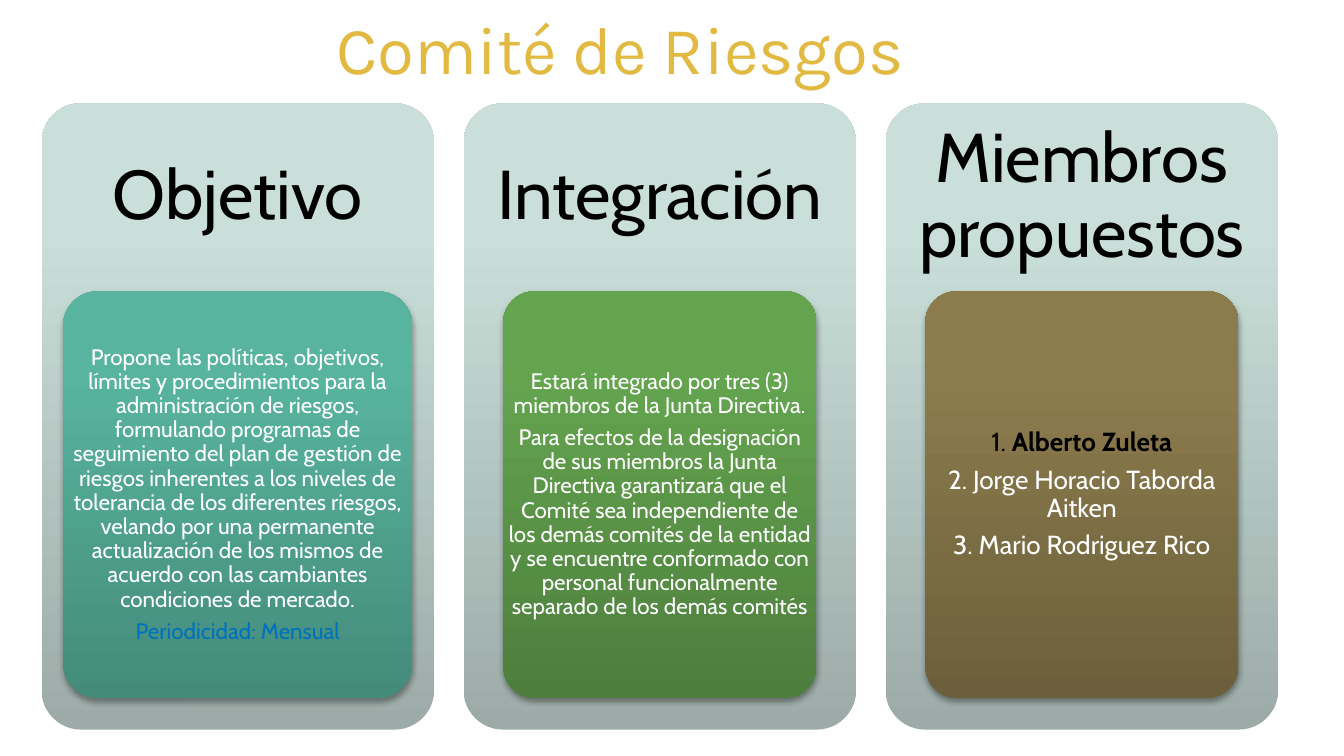
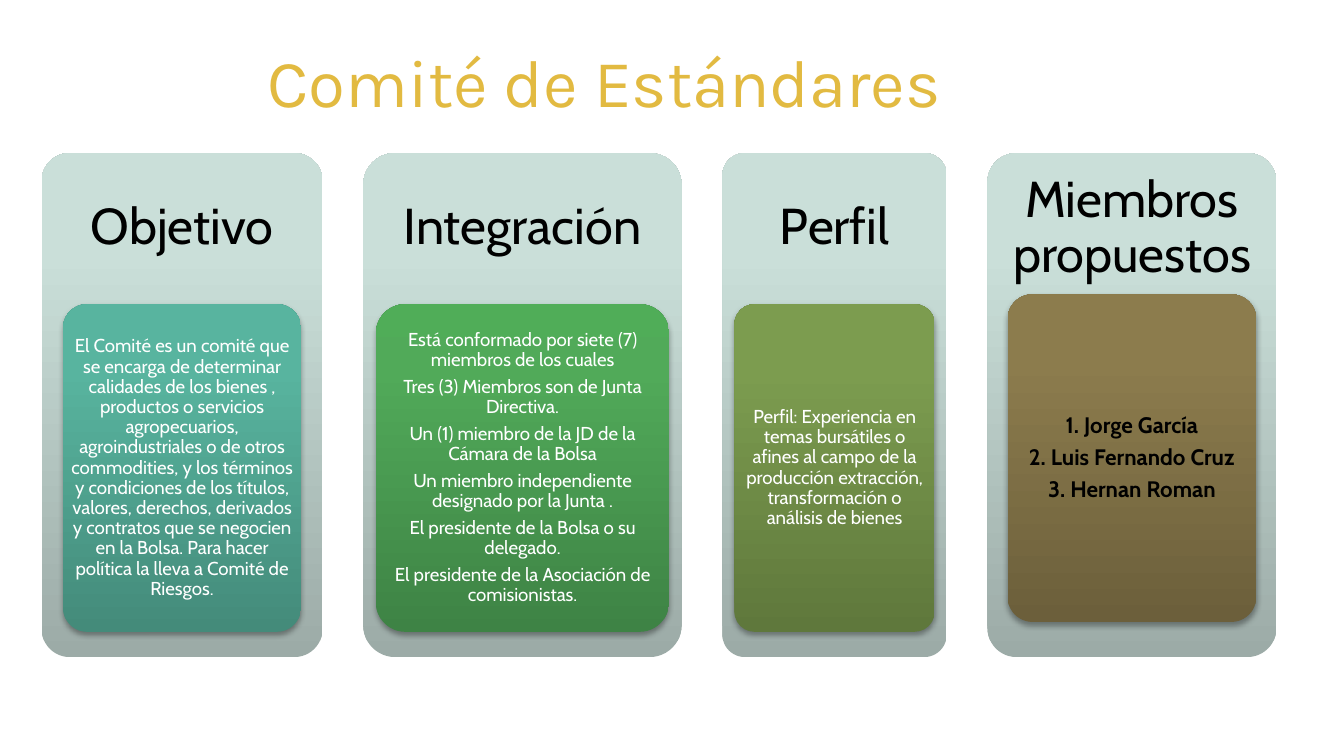
from copy import deepcopy
from dataclasses import dataclass
from typing import Any

from pptx import Presentation
from pptx.dml.color import RGBColor
from pptx.enum.shapes import MSO_SHAPE as Preset
from pptx.enum.text import MSO_ANCHOR as Anchor, PP_ALIGN as Align
from pptx.oxml import parse_xml
from pptx.oxml.ns import nsdecls, qn
from pptx.util import Pt

BLACK = RGBColor(0x00, 0x00, 0x00)
WHITE = RGBColor(0xFF, 0xFF, 0xFF)
BLUE = RGBColor(0x00, 0x70, 0xC0)
GOLD = RGBColor(0xE2, 0xBA, 0x41)

Gradient = tuple[RGBColor, RGBColor, RGBColor]
PANEL_GRADIENT = (RGBColor(0x9C, 0xAB, 0xA7), RGBColor(0xCA, 0xDF, 0xD9), RGBColor(0xCB, 0xE0, 0xDA))
TEAL = (RGBColor(0x44, 0x8B, 0x7A), RGBColor(0x58, 0xB4, 0x9F), RGBColor(0x57, 0xB7, 0xA0))
LEAF = (RGBColor(0x4D, 0x7E, 0x3D), RGBColor(0x64, 0xA4, 0x4F), RGBColor(0x64, 0xA6, 0x4E))
GREEN = (RGBColor(0x3E, 0x83, 0x45), RGBColor(0x51, 0xAA, 0x59), RGBColor(0x50, 0xAD, 0x58))
OLIVE = (RGBColor(0x5F, 0x78, 0x3C), RGBColor(0x7C, 0x9C, 0x4F), RGBColor(0x7C, 0x9E, 0x4D))
BROWN = (RGBColor(0x6C, 0x5F, 0x3B), RGBColor(0x8C, 0x7C, 0x4D), RGBColor(0x8E, 0x7D, 0x4C))

TITLE_FONT = "Karla"
BODY_FONT = "Cabin"
STOP_POSITIONS = (0, 0.8, 1)
LEFT = 22.3
HEADING_SHARE = 0.3
CARD_SHARE = 0.65
CARD_INSET = 2.2


@dataclass(frozen=True)
class Box:
    left: float
    top: float
    width: float
    height: float

    def points(self) -> tuple[Pt, Pt, Pt, Pt]:
        return Pt(self.left), Pt(self.top), Pt(self.width), Pt(self.height)


@dataclass(frozen=True)
class Run:
    text: str
    color: RGBColor = WHITE
    bold: bool = False


Line = tuple[Run, ...]


@dataclass(frozen=True)
class Panel:
    heading: str
    width: float
    card_width: float
    gradient: Gradient
    size: float
    lines: tuple[Line, ...]
    card_rise: float = 0


@dataclass(frozen=True)
class Committee:
    title: str
    title_box: Box
    title_indent: float
    top: float
    height: float
    gap: float
    heading_size: float
    heading_inset: float
    panels: tuple[Panel, ...]


def lines_of(*texts: str, color: RGBColor = WHITE, bold: bool = False) -> tuple[Line, ...]:
    return tuple((Run(text, color, bold),) for text in texts)


RISKS = Committee(
    "Comité de Riesgos", Box(LEFT, 10.8, 560.9, 65.5), 59, 55.4, 335.5, 15.9, 37, 10.8,
    (
        Panel("Objetivo", 210.2, 187.2, TEAL, 12, (
            *lines_of(
                "Propone las políticas, objetivos, límites y procedimientos para la "
                "administración de riesgos, formulando programas de seguimiento del plan de "
                "gestión de riesgos inherentes a los niveles de tolerancia de los diferentes "
                "riesgos, velando por una permanente actualización de los mismos de acuerdo "
                "con las cambiantes condiciones de mercado."
            ),
            *lines_of("Periodicidad: Mensual", color=BLUE),
        )),
        Panel("Integración", 210.2, 167.8, LEAF, 12, lines_of(
            "Estará integrado por tres (3) miembros de la Junta Directiva.",
            "Para efectos de la designación de sus miembros la Junta Directiva garantizará "
            "que el Comité sea independiente de los demás comités de la entidad y se "
            "encuentre conformado con personal funcionalmente separado de los demás comités",
        )),
        Panel("Miembros propuestos", 210.2, 167.8, BROWN, 14, (
            (Run("1. ", BLACK), Run("Alberto Zuleta", BLACK, True)),
            *lines_of("2. Jorge Horacio Taborda Aitken", "3. Mario Rodriguez Rico"),
        )),
    ),
)

STANDARDS = Committee(
    "Comité de Estándares", Box(LEFT, 28.1, 560.9, 35.3), 42, 82, 270, 21.8, 27, 7.9,
    (
        Panel("Objetivo", 150.5, 127.4, TEAL, 10, lines_of(
            "El Comité es un comité que se encarga de determinar calidades de los bienes , "
            "productos o servicios agropecuarios, agroindustriales o de otros commodities, y "
            "los términos y condiciones de los títulos, valores, derechos, derivados y "
            "contratos que se negocien en la Bolsa. Para hacer política la lleva a Comité "
            "de Riesgos.",
        )),
        Panel("Integración", 170.6, 157, GREEN, 10, lines_of(
            "Está conformado por siete (7) miembros de los cuales",
            "Tres (3) Miembros son de Junta Directiva.",
            "Un (1) miembro de la JD de la Cámara de la Bolsa",
            "Un miembro independiente designado por la Junta .",
            "El presidente de la Bolsa o su delegado.",
            "El presidente de la Asociación de comisionistas.",
        )),
        Panel("Perfil", 120.2, 107.3, OLIVE, 10, lines_of(
            "Perfil: Experiencia en temas bursátiles o afines al campo de la producción "
            "extracción, transformación o análisis de bienes",
        )),
        Panel("Miembros propuestos", 154.8, 133.2, BROWN, 12, lines_of(
            "1. Jorge García", "2. Luis Fernando Cruz", "3. Hernan Roman",
            color=BLACK, bold=True,
        ), card_rise=5.3),
    ),
)


def apply_format(target: Any, values: dict[str, Any]) -> None:
    for name, value in values.items():
        setattr(target, name, value)


def add_text(slide: Any, box: Box, lines: tuple[Line, ...], font: str, size: float,
             inset: float, paragraph_format: dict[str, Any],
             frame_format: dict[str, Any]) -> None:
    frame = slide.shapes.add_textbox(*box.points()).text_frame
    margins = {f"margin_{side}": Pt(inset) for side in ("left", "top", "right", "bottom")}
    apply_format(frame, {"word_wrap": True, **margins, **frame_format})
    for index, line in enumerate(lines):
        paragraph = frame.add_paragraph() if index else frame.paragraphs[0]
        apply_format(paragraph, {"alignment": Align.CENTER, **paragraph_format})
        for part in line:
            run = paragraph.add_run()
            run.text = part.text
            apply_format(run.font, {"name": font, "size": Pt(size), "bold": part.bold})
            run.font.color.rgb = part.color


def add_body_text(slide: Any, box: Box, lines: tuple[Line, ...], size: float,
                  inset: float) -> None:
    spacing = {"line_spacing": 0.9, "space_after": Pt(0.35 * size)}
    add_text(slide, box, lines, BODY_FONT, size, inset, spacing,
             {"vertical_anchor": Anchor.MIDDLE})


def add_rounded(slide: Any, box: Box, gradient: Gradient, shadow: bool = False) -> None:
    shape = slide.shapes.add_shape(Preset.ROUNDED_RECTANGLE, *box.points())
    shape.adjustments[0] = 0.1
    shape.line.fill.background()
    shape.shadow.inherit = False
    shape.fill.gradient()
    shape.fill.gradient_angle = 90
    properties = shape._element.spPr
    stop_list = properties.find(f".//{qn('a:gsLst')}")
    stop_list.append(deepcopy(stop_list[-1]))
    for stop, position, color in zip(shape.fill.gradient_stops, STOP_POSITIONS, gradient):
        stop.position = position
        stop.color.rgb = color
    if shadow:
        properties.find(qn("a:effectLst")).append(parse_xml(
            f'<a:outerShdw {nsdecls("a")} blurRad="{Pt(3.1)}" dist="{Pt(1.8)}" '
            'dir="5400000" rotWithShape="0"><a:srgbClr val="000000">'
            '<a:alpha val="35000"/></a:srgbClr></a:outerShdw>'
        ))


def add_panel(slide: Any, committee: Committee, panel: Panel, left: float) -> None:
    top, height = committee.top, committee.height
    heading_height = HEADING_SHARE * height
    add_rounded(slide, Box(left, top, panel.width, height), PANEL_GRADIENT)
    add_body_text(slide, Box(left, top, panel.width, heading_height),
                  lines_of(panel.heading, color=BLACK),
                  committee.heading_size, committee.heading_inset)
    card = Box(left + (panel.width - panel.card_width) / 2,
               top + heading_height - panel.card_rise,
               panel.card_width, CARD_SHARE * height)
    add_rounded(slide, card, panel.gradient, shadow=True)
    add_body_text(slide, card, panel.lines, panel.size, CARD_INSET)


def add_committee(presentation: Any, committee: Committee) -> None:
    slide = presentation.slides.add_slide(presentation.slide_layouts[6])
    add_text(slide, committee.title_box, lines_of(committee.title, color=GOLD),
             TITLE_FONT, 36, 0, {"line_spacing": 0.85},
             {"margin_left": Pt(committee.title_indent)})
    left = LEFT
    for panel in committee.panels:
        add_panel(slide, committee, panel, left)
        left += panel.width + committee.gap


def main() -> None:
    presentation = Presentation()
    apply_format(presentation, {"slide_width": Pt(720), "slide_height": Pt(405)})
    for committee in (RISKS, STANDARDS):
        add_committee(presentation, committee)
    presentation.save("out.pptx")


if __name__ == "__main__":
    main()
